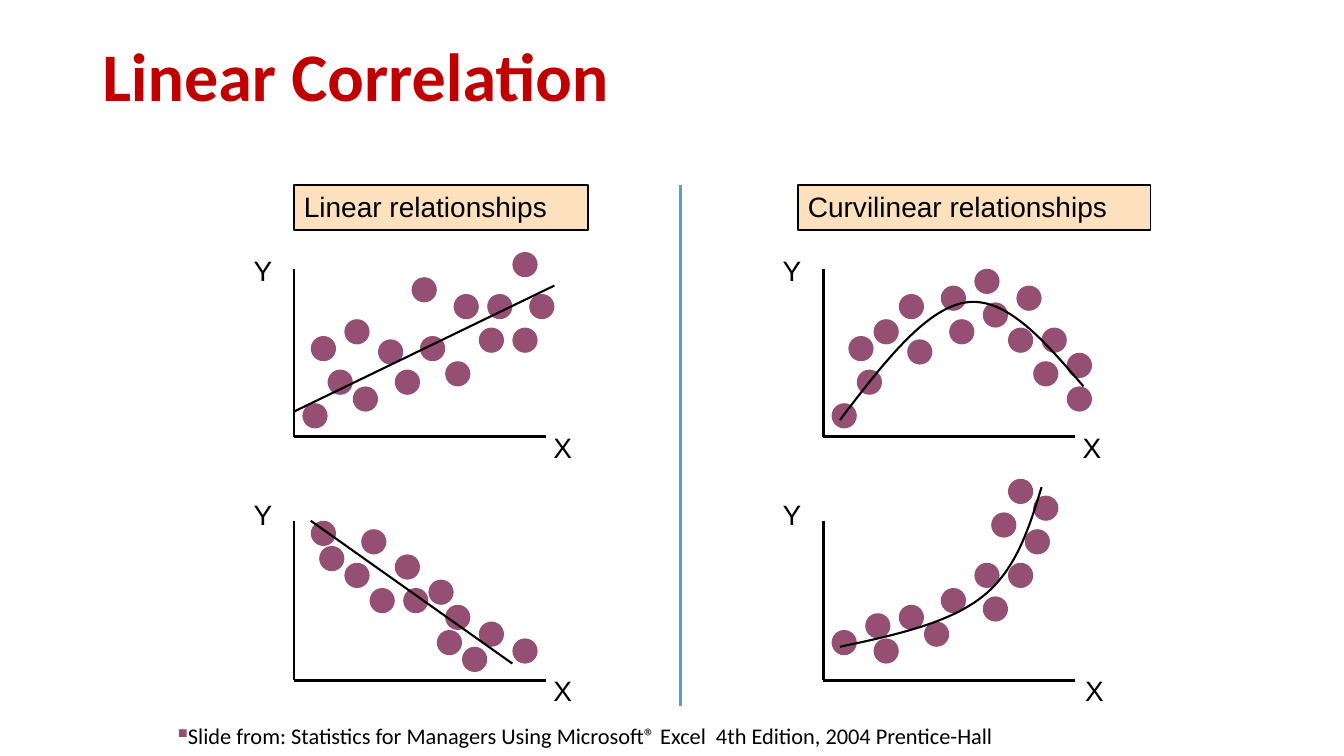
from collections import namedtuple

from lxml import etree
from pptx import Presentation
from pptx.dml.color import RGBColor
from pptx.enum.shapes import MSO_CONNECTOR, MSO_SHAPE
from pptx.enum.text import MSO_ANCHOR, MSO_AUTO_SIZE, PP_ALIGN
from pptx.oxml.ns import qn
from pptx.util import Pt

EMU_PER_PX = 7620
BLACK = RGBColor(0x00, 0x00, 0x00)
RED = RGBColor(0xC0, 0x00, 0x00)
PLUM = RGBColor(0x95, 0x4F, 0x72)
PEACH = RGBColor(0xFD, 0xE0, 0xBD)
BLUE = RGBColor(0x5B, 0x9B, 0xD5)

STRAIGHT = MSO_CONNECTOR.STRAIGHT
OVAL = MSO_SHAPE.OVAL
RECTANGLE = MSO_SHAPE.RECTANGLE
TOP = MSO_ANCHOR.TOP
MIDDLE = MSO_ANCHOR.MIDDLE
GROW = MSO_AUTO_SIZE.SHAPE_TO_FIT_TEXT
FIXED = MSO_AUTO_SIZE.NONE
LEFT = PP_ALIGN.LEFT

DOT = 30
AXIS_LENGTH = 300
CURVE_STEPS = 24

Plot = namedtuple("Plot", "left top bottom y_label_rise x_label_shift dots trend")

PLOTS = [
    Plot(350, 320, 520, 24, 297,
         [(360, 480), (390, 440), (610, 300), (630, 350), (420, 460), (580, 350),
          (530, 430), (540, 350), (490, 330), (370, 400), (410, 380), (450, 404),
          (570, 390), (500, 400), (470, 440), (610, 390)],
         [(350, 490), (660, 340)]),
    Plot(350, 620, 810, 34, 297,
         [(550, 770), (380, 650), (610, 760), (430, 630), (530, 720), (570, 740),
          (470, 660), (370, 620), (410, 670), (440, 700), (520, 750), (510, 690),
          (480, 700)],
         [(370, 620), (610, 790)]),
    Plot(980, 320, 520, 24, 297,
         [(990, 480), (1020, 440), (1270, 420), (1210, 340), (1070, 350), (1270, 460),
          (1230, 430), (1170, 360), (1120, 340), (1010, 400), (1040, 380), (1080, 404),
          (1200, 390), (1130, 380), (1160, 320), (1240, 390)],
         [(1000, 500), (1051, 433), (1102, 367), (1150, 360),
          (1199, 353), (1244, 407), (1290, 460)]),
    Plot(980, 620, 810, 34, 300,
         [(990, 750), (1030, 730), (1230, 590), (1220, 630), (1040, 760), (1180, 610),
          (1170, 710), (1160, 670), (1200, 570), (1070, 720), (1200, 670), (1120, 700),
          (1100, 740)],
         [(1000, 770), (1066, 756), (1130, 742), (1170, 710),
          (1210, 678), (1225, 629), (1240, 580)]),
]


def px(*lengths):
    return [round(length * EMU_PER_PX) for length in lengths]


def bezier_point(controls, t):
    weights = ((1 - t) ** 3, 3 * t * (1 - t) ** 2, 3 * t ** 2 * (1 - t), t ** 3)
    return px(*(sum(w * c for w, c in zip(weights, axis)) for axis in zip(*controls)))


class SlideBuilder:
    body_font = "Arial"
    heading_font = "Calibri"

    def __init__(self, slide):
        self.shapes = slide.shapes

    def add_text(self, shape, text, size, font, color=BLACK, bold=False):
        paragraph = shape.text_frame.paragraphs[0]
        paragraph.alignment = LEFT
        run = paragraph.add_run()
        run.text = text
        run.font.size = Pt(size)
        run.font.name = font
        run.font.bold = bold
        run.font.color.rgb = color
        return paragraph

    def text_box(self, box, text, size, font, wrap=False, color=BLACK, bold=False):
        shape = self.shapes.add_textbox(*px(*box))
        shape.text_frame.word_wrap = wrap
        shape.text_frame.auto_size = GROW
        return shape, self.add_text(shape, text, size, font, color, bold)

    def title(self, box, text):
        shape, paragraph = self.text_box(
            box, text, 48.6, self.heading_font, True, RED, True)
        shape.text_frame.auto_size = FIXED
        shape.text_frame.vertical_anchor = MIDDLE
        paragraph.line_spacing = 0.9

    def bulleted_note(self, box, text):
        paragraph = self.text_box(box, text, 16, self.heading_font)[1]
        properties = paragraph._p.get_or_add_pPr()
        color = etree.SubElement(properties, qn("a:buClr"))
        etree.SubElement(color, qn("a:srgbClr"), val=str(PLUM))
        etree.SubElement(properties, qn("a:buSzPct"), val="60000")
        etree.SubElement(properties, qn("a:buChar"), char="■")

    def heading(self, box, text):
        shape = self.shapes.add_shape(RECTANGLE, *px(*box))
        shape.shadow.inherit = False
        shape.fill.solid()
        shape.fill.fore_color.rgb = PEACH
        shape.line.color.rgb = BLACK
        shape.line.width = Pt(1)
        shape.text_frame.word_wrap = True
        shape.text_frame.auto_size = GROW
        shape.text_frame.vertical_anchor = TOP
        self.add_text(shape, text, 20, self.body_font)

    def line(self, start, end, width, color=BLACK):
        connector = self.shapes.add_connector(STRAIGHT, *px(*start, *end))
        connector.line.color.rgb = color
        connector.line.width = Pt(width)
        etree.SubElement(connector._element.spPr, qn("a:effectLst"))

    def curve(self, controls, width):
        points = [bezier_point(controls[first:first + 4], step / CURVE_STEPS)
                  for first in range(0, len(controls) - 1, 3)
                  for step in range(1, CURVE_STEPS + 1)]
        builder = self.shapes.build_freeform(*px(*controls[0]))
        builder.add_line_segments(points, close=False)
        shape = builder.convert_to_shape()
        shape.shadow.inherit = False
        shape.fill.background()
        shape.line.color.rgb = BLACK
        shape.line.width = Pt(width)

    def dot(self, left, top):
        shape = self.shapes.add_shape(OVAL, *px(left, top, DOT, DOT))
        shape.shadow.inherit = False
        shape.fill.solid()
        shape.fill.fore_color.rgb = PLUM
        shape.line.fill.background()

    def scatter_plot(self, plot):
        origin = (plot.left, plot.bottom)
        self.line((plot.left, plot.top), origin, 2)
        self.line(origin, (plot.left + AXIS_LENGTH, plot.bottom), 2)
        for position in plot.dots:
            self.dot(*position)
        labels = [("Y", plot.left - 60, plot.top - plot.y_label_rise),
                  ("X", plot.left + plot.x_label_shift, plot.bottom - 14)]
        for text, left, top in labels:
            self.text_box((left, top, 47, 52), text, 20, self.body_font)
        if len(plot.trend) == 2:
            self.line(*plot.trend, 1.5)
        else:
            self.curve(plot.trend, 1.5)


def main():
    presentation = Presentation()
    presentation.slide_width, presentation.slide_height = px(1600, 900)
    slide = presentation.slides.add_slide(presentation.slide_layouts[6])
    builder = SlideBuilder(slide)
    builder.title((110, 48, 1380, 92), "Linear Correlation")
    builder.heading((350, 220, 350, 54), "Linear relationships")
    builder.heading((950, 220, 420, 54), "Curvilinear relationships")
    builder.line((810, 220), (810, 840), 2.25, BLUE)
    for plot in PLOTS:
        builder.scatter_plot(plot)
    builder.bulleted_note(
        (200, 854, 1031, 44),
        "Slide from: Statistics for Managers Using Microsoft® Excel  4th Edition, "
        "2004 Prentice-Hall")
    presentation.save("out.pptx")


if __name__ == "__main__":
    main()
